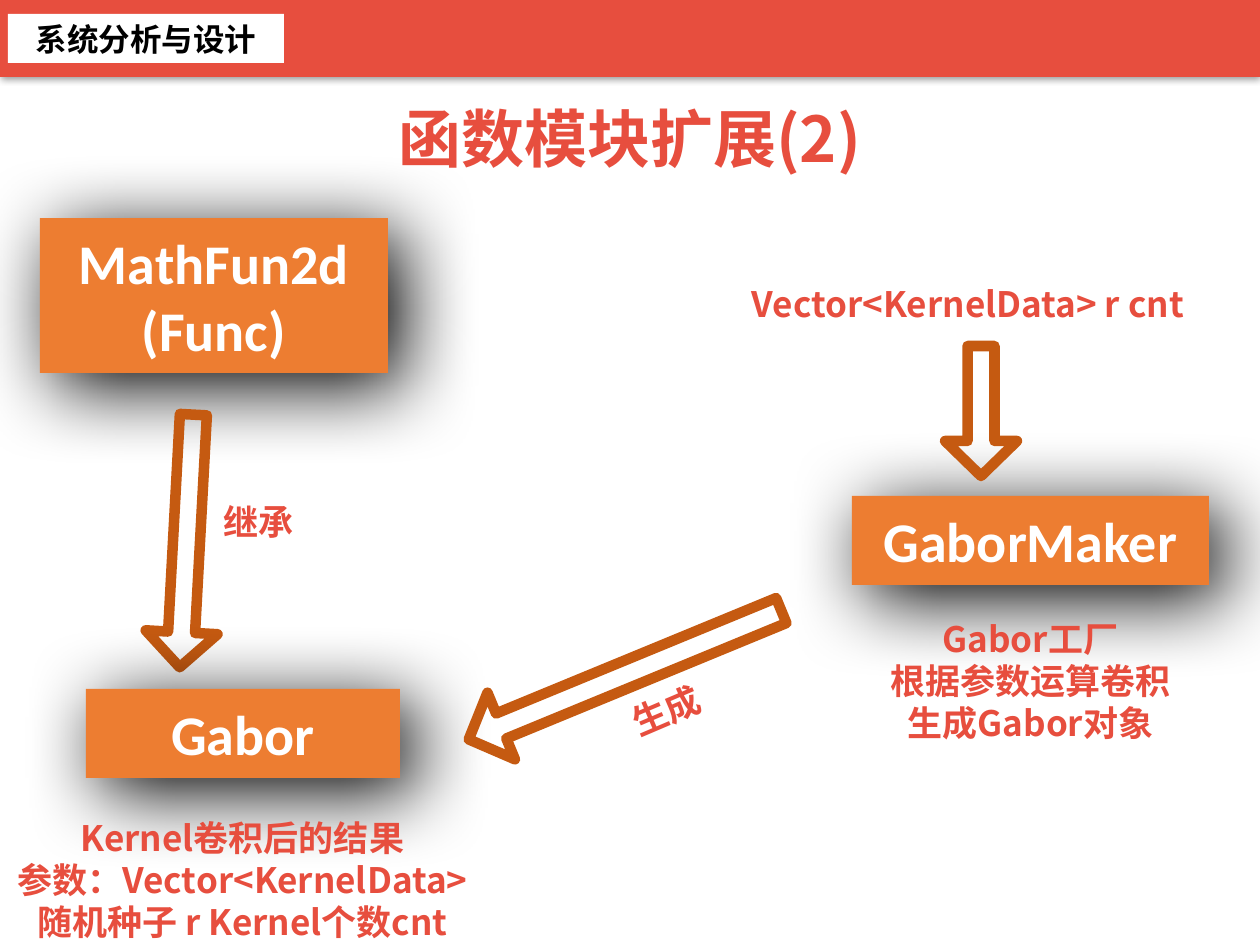
import pptx
import pptx.dml.color
import pptx.enum.shapes
import pptx.enum.text
import pptx.oxml
import pptx.oxml.ns
import pptx.util
from dataclasses import dataclass

EMU_PER_PX = 914400 / 126
NS = pptx.oxml.ns.nsdecls("a")
SHAPES = pptx.enum.shapes.MSO_SHAPE


@dataclass(frozen=True)
class Theme:
    red: str = "E74E3E"
    orange: str = "ED7D31"
    brown: str = "C55A11"
    white: str = "FFFFFF"
    black: str = "000000"
    latin: str = "Calibri"
    cjk: str = "Noto Sans CJK SC"
    course_size: int = 18
    title_size: int = 36
    box_size: int = 32
    note_size: int = 20
    arrow_width: int = 6
    line_height: float = 1.22
    # Shadows: opacity %, blur pt, distance pt, direction in degrees
    bar_shadow: tuple = (40, 4, 1, 90)
    box_shadow: tuple = (100, 46, 12, 43)


def px(value):
    return pptx.util.Emu(round(value * EMU_PER_PX))


def rgb(value):
    return pptx.dml.color.RGBColor.from_string(value)


class SlideBuilder:
    def __init__(self, slide, theme):
        self.slide = slide
        self.theme = theme

    def _write(self, shape, lines, size, color, font, frame_format, line_spacing=None):
        frame = shape.text_frame
        for name, value in frame_format.items():
            setattr(frame, name, value)
        font_format = {"size": pptx.util.Pt(size), "bold": True, "name": font}
        for i, line in enumerate(lines):
            paragraph = frame.add_paragraph() if i else frame.paragraphs[0]
            paragraph.alignment = pptx.enum.text.PP_ALIGN.CENTER
            paragraph.line_spacing = line_spacing
            run = paragraph.add_run()
            run.text = line
            for name, value in font_format.items():
                setattr(run.font, name, value)
            run.font.color.rgb = rgb(color)
            east_asian = pptx.oxml.parse_xml(f'<a:ea {NS} typeface="{self.theme.cjk}"/>')
            run.font._element.find(pptx.oxml.ns.qn("a:latin")).addnext(east_asian)

    def _shadow(self, shape, opacity, blur, distance, direction):
        shape._element.spPr.find(pptx.oxml.ns.qn("a:effectLst")).append(pptx.oxml.parse_xml(
            f'<a:outerShdw {NS} blurRad="{blur * 12700}" dist="{distance * 12700}" '
            f'dir="{direction * 60000}" algn="ctr" rotWithShape="0">'
            f'<a:srgbClr val="{self.theme.black}"><a:alpha val="{opacity * 1000}"/>'
            f'</a:srgbClr></a:outerShdw>'))

    def box(self, frame, fill, lines=(), size=None, color=None, shadow=None):
        shape = self.slide.shapes.add_shape(SHAPES.RECTANGLE, *map(px, frame))
        shape.shadow.inherit = False
        shape.fill.solid()
        shape.fill.fore_color.rgb = rgb(fill)
        shape.line.fill.background()
        if shadow:
            self._shadow(shape, *shadow)
        if lines:
            self._write(shape, lines, size, color, self.theme.latin,
                        {"word_wrap": True, "vertical_anchor": pptx.enum.text.MSO_ANCHOR.MIDDLE})

    def class_box(self, frame, *lines):
        self.box(frame, self.theme.orange, lines, self.theme.box_size,
                 self.theme.white, self.theme.box_shadow)

    def label(self, frame, *lines, size=None, rotation=0, wrap=True):
        size = size or self.theme.note_size
        shape = self.slide.shapes.add_textbox(*map(px, frame))
        shape.rotation = rotation
        self._write(shape, lines, size, self.theme.red, self.theme.cjk,
                    {"word_wrap": wrap,
                     "auto_size": pptx.enum.text.MSO_AUTO_SIZE.SHAPE_TO_FIT_TEXT},
                    pptx.util.Pt(round(size * self.theme.line_height)))

    def arrow(self, frame, rotation):
        shape = self.slide.shapes.add_shape(SHAPES.RIGHT_ARROW, *map(px, frame))
        shape.shadow.inherit = False
        shape.rotation = rotation
        shape._element.spPr.xfrm.set("flipH", "1")
        shape.adjustments[0] = 0.375
        shape.adjustments[1] = 0.487
        shape.fill.background()
        shape.line.color.rgb = rgb(self.theme.brown)
        shape.line.width = pptx.util.Pt(self.theme.arrow_width)


def main():
    theme = Theme()
    deck = pptx.Presentation()
    deck.slide_width, deck.slide_height = px(1260), px(945)
    page = SlideBuilder(deck.slides.add_slide(deck.slide_layouts[6]), theme)

    # Header bar and title
    page.box((0, 0, 1260, 77), theme.red, shadow=theme.bar_shadow)
    page.box((8, 14, 276, 49), theme.white, ["系统分析与设计"], theme.course_size, theme.black)
    page.label((382, 92, 495, 90), "函数模块扩展(2)", size=theme.title_size)

    # Inheritance: MathFun2d to Gabor
    page.class_box((40, 218, 348, 155), "MathFun2d", "(Func)")
    page.arrow((60, 505, 253, 72), 273.1)
    page.label((165, 494, 188, 55), "继承")
    page.class_box((86, 689, 314, 89), "Gabor")
    page.label((-54, 810, 593, 140), "Kernel卷积后的结果",
               "参数：Vector<KernelData>", "随机种子 r Kernel个数cnt")

    # Factory: parameters to GaborMaker
    page.label((728, 276, 480, 55), "Vector<KernelData> r cnt")
    page.class_box((852, 496, 357, 89), "GaborMaker")
    page.arrow((916, 375, 130, 72), 270)
    page.label((876, 611, 309, 140), "Gabor工厂", "根据参数运算卷积",
               "生成Gabor对象", wrap=False)

    # Creation: GaborMaker to Gabor
    page.arrow((456, 639, 338, 72), 337.6)
    page.label((572, 683, 188, 55), "生成", rotation=336.9)

    deck.save("out.pptx")


if __name__ == "__main__":
    main()
